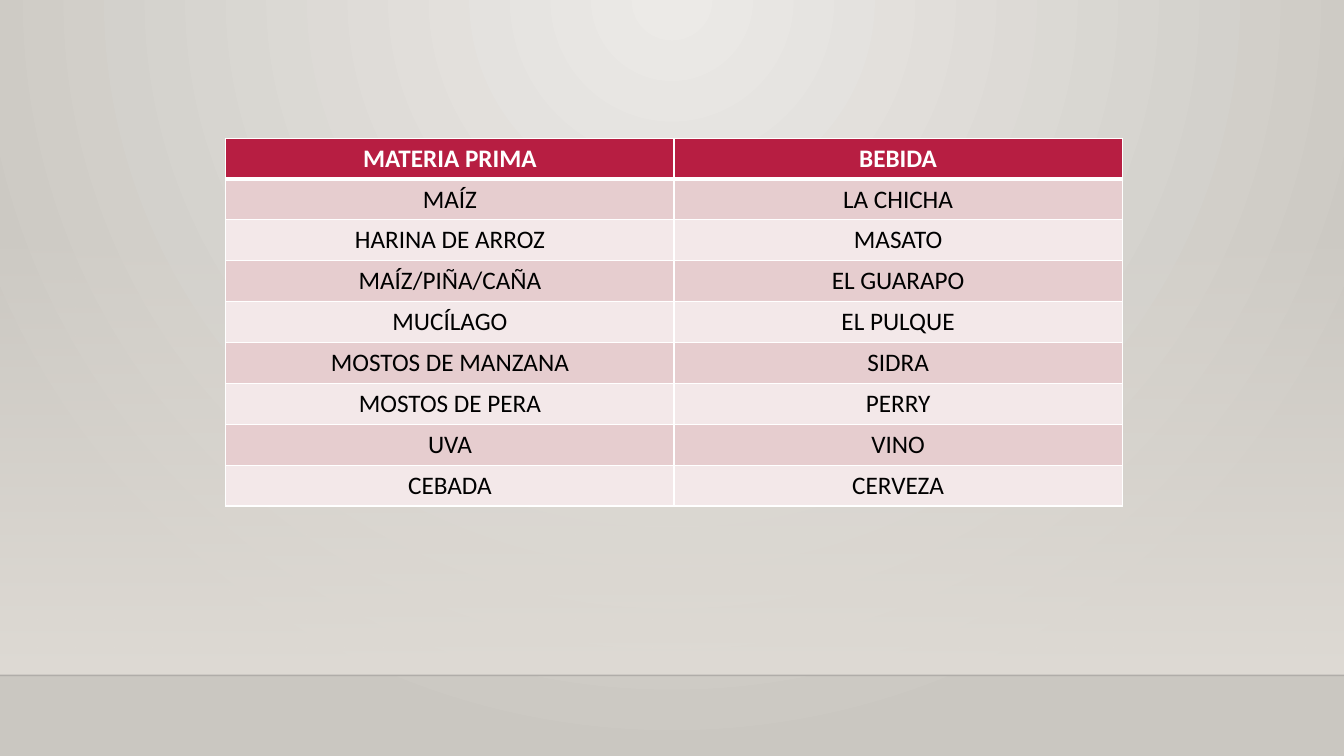
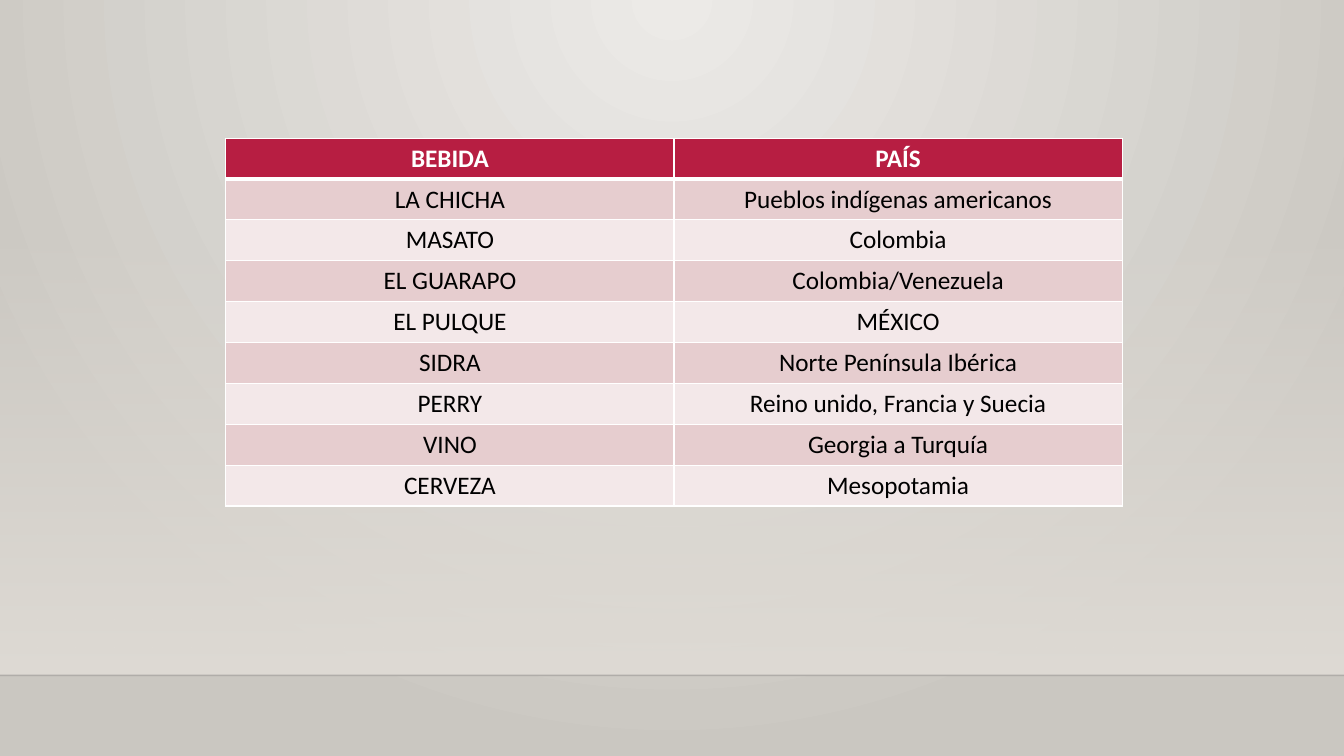
from lxml import etree
from pptx import Presentation
from pptx.dml.color import RGBColor
from pptx.enum.shapes import MSO_CONNECTOR, MSO_SHAPE
from pptx.enum.text import PP_ALIGN
from pptx.oxml.ns import qn
from pptx.util import Inches, Pt

STRAIGHT = MSO_CONNECTOR.STRAIGHT
RECTANGLE = MSO_SHAPE.RECTANGLE
CENTER = PP_ALIGN.CENTER

COLORS = {
    "glow": "ECEAE7",
    "edge": "CAC7C1",
    "band": "DFDBD5",
    "line": "000001",
    "header": "B71E42",
    "odd": "E6CDCF",
    "even": "F3E8E9",
    "white": "FFFFFF",
    "text": "000000",
}
FONT = "Calibri"
WIDTH, HEIGHT = Inches(13.33), Inches(7.5)
BAND_TOP, FLOOR = Inches(2.21), Inches(6.7)
TABLE_LEFT, TABLE_TOP = Inches(2.24), Inches(1.37)
TABLE_WIDTH, TABLE_HEIGHT = Inches(8.89), Inches(3.65)
BLANK_LAYOUT = 6

TABLES = [
    [
        ("MATERIA PRIMA", "BEBIDA"),
        ("MAÍZ", "LA CHICHA"),
        ("HARINA DE ARROZ", "MASATO"),
        ("MAÍZ/PIÑA/CAÑA", "EL GUARAPO"),
        ("MUCÍLAGO", "EL PULQUE"),
        ("MOSTOS DE MANZANA", "SIDRA"),
        ("MOSTOS DE PERA", "PERRY"),
        ("UVA", "VINO"),
        ("CEBADA", "CERVEZA"),
    ],
    [
        ("BEBIDA", "PAÍS"),
        ("LA CHICHA", "Pueblos indígenas americanos"),
        ("MASATO", "Colombia"),
        ("EL GUARAPO", "Colombia/Venezuela"),
        ("EL PULQUE", "MÉXICO"),
        ("SIDRA", "Norte Península Ibérica"),
        ("PERRY", "Reino unido, Francia y Suecia"),
        ("VINO", "Georgia a Turquía"),
        ("CERVEZA", "Mesopotamia"),
    ],
]


def rgb(name):
    return RGBColor.from_string(COLORS[name])


def set_gradient(fill, *names):
    fill.gradient()
    for position, (stop, name) in enumerate(zip(fill.gradient_stops, names)):
        stop.color.rgb = rgb(name)
        stop.position = position


def set_alpha(element, percent):
    color = next(element.iter(qn("a:srgbClr")))
    etree.SubElement(color, qn("a:alpha"), val=str(percent * 1000))


def style_master(master):
    set_gradient(master.background.fill, "glow", "edge")
    gradient = next(master.element.iter(qn("a:gradFill")))
    linear = gradient.find(qn("a:lin"))
    radial = etree.Element(qn("a:path"), {"path": "circle"})
    etree.SubElement(radial, qn("a:fillToRect"), l="43000", t="0", r="43000", b="100000")
    gradient.replace(linear, radial)


def add_backdrop(slide, master):
    band = slide.shapes.add_shape(RECTANGLE, 0, BAND_TOP, WIDTH, FLOOR - BAND_TOP)
    band.shadow.inherit = False
    band.line.fill.background()
    set_gradient(band.fill, "band", "band")
    band.fill.gradient_angle = 270
    set_alpha(band.element, 0)

    floor = slide.shapes.add_connector(STRAIGHT, 0, FLOOR, WIDTH, FLOOR)
    floor.line.color.rgb = rgb("line")
    floor.line.width = Pt(1)
    set_alpha(floor.element, 20)
    etree.SubElement(floor.element.spPr, qn("a:effectLst"))

    tree = master.element.cSld.spTree
    for index, shape in enumerate((band, floor)):
        next(shape.element.iter(qn("p:cNvPr"))).set("id", str(100 + index))
        tree.insert(2 + index, shape.element)


def write(frame, text, size=18, color="text", bold=False, align=CENTER):
    para = frame.paragraphs[0]
    para.alignment = align
    span = para.add_run()
    span.text = text
    span.font.name = FONT
    span.font.size = Pt(size)
    span.font.bold = bold
    span.font.color.rgb = rgb(color)


def set_borders(cell, **widths):
    properties = cell._tc.get_or_add_tcPr()
    for index, side in enumerate("LRTB"):
        border = etree.Element(qn(f"a:ln{side}"), w=str(Pt(widths.get(side, 1))))
        solid = etree.SubElement(border, qn("a:solidFill"))
        etree.SubElement(solid, qn("a:srgbClr"), val=COLORS["white"])
        properties.insert(index, border)


def add_table(slide, rows):
    frame = slide.shapes.add_table(
        len(rows), len(rows[0]), TABLE_LEFT, TABLE_TOP, TABLE_WIDTH, TABLE_HEIGHT
    )
    for row, texts in enumerate(rows):
        header = row == 0
        fill = "header" if header else ("even", "odd")[row % 2]
        for column, text in enumerate(texts):
            cell = frame.table.cell(row, column)
            cell.fill.solid()
            cell.fill.fore_color.rgb = rgb(fill)
            set_borders(cell, B=3 if header else 1, T=3 if row == 1 else 1)
            write(cell.text_frame, text, color="white" if header else "text", bold=header)


def main():
    deck = Presentation()
    deck.slide_width, deck.slide_height = WIDTH, HEIGHT
    master = deck.slide_master
    style_master(master)
    slides = [deck.slides.add_slide(deck.slide_layouts[BLANK_LAYOUT]) for _ in TABLES]
    add_backdrop(slides[0], master)
    for slide, rows in zip(slides, TABLES):
        add_table(slide, rows)
    deck.save("out.pptx")


if __name__ == "__main__":
    main()
